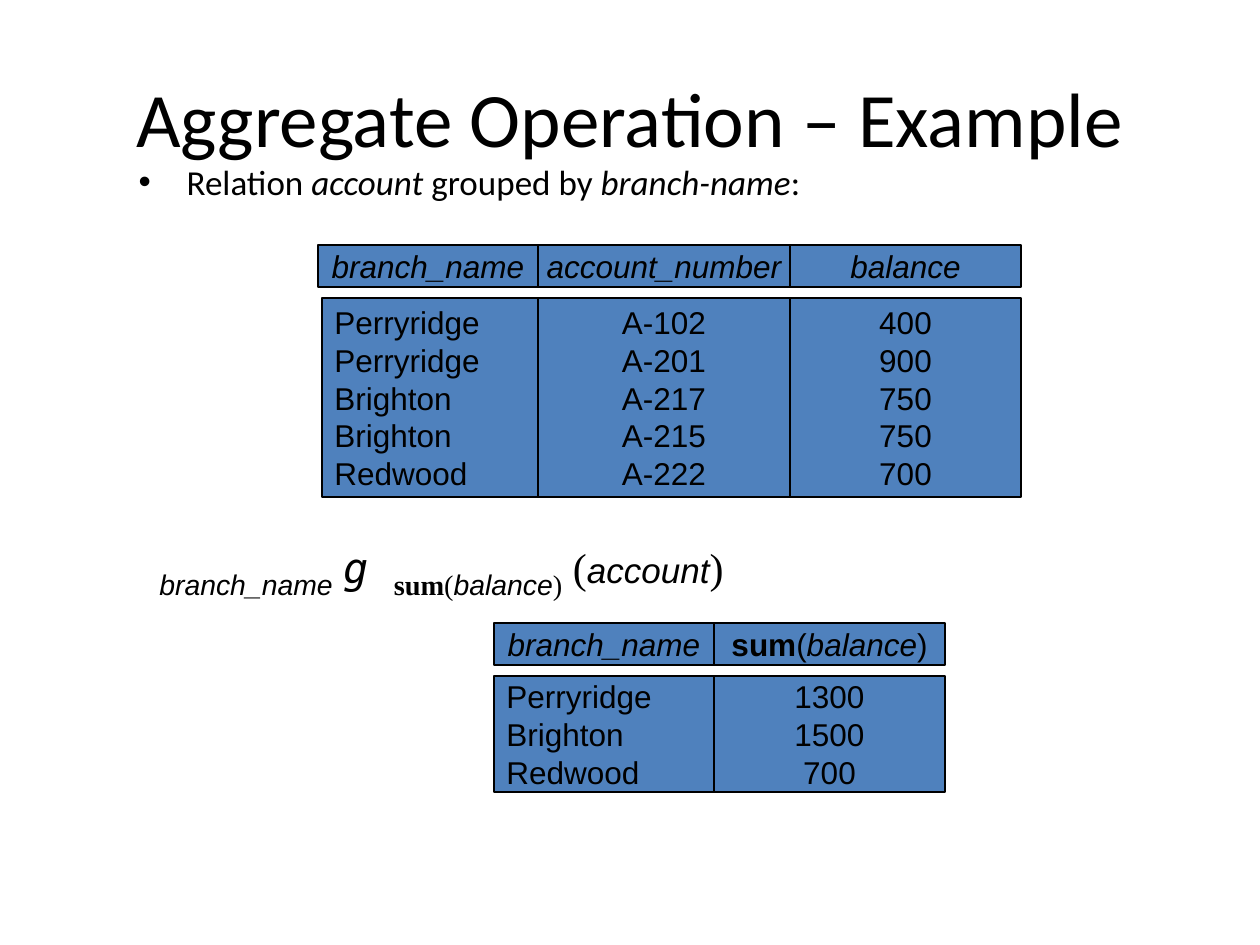
from lxml import etree
from pptx import Presentation
from pptx import util as u
from pptx.dml.color import RGBColor
from pptx.enum import shapes, text
from pptx.oxml.ns import qn

PX = u.Inches(1) / 126
COLORS = {"ink": "000000", "cell": "4F81BD"}
SANS, SERIF, MONO, BODY = "Arial", "Times New Roman", "DejaVu Sans Mono", "Calibri"
LEFT, CENTER = text.PP_ALIGN.LEFT, text.PP_ALIGN.CENTER


def px(n):
    return u.Emu(round(n * PX))


def color(name):
    return RGBColor.from_string(COLORS[name])


class SlideBuilder:
    HEAD_H, BODY_OFFSET = 42, 53

    def __init__(self, slide):
        self.s = slide

    def place(self, sp, x, y, w, h):
        sp.left, sp.top, sp.width, sp.height = px(x), px(y), px(w), px(h)

    def run(self, p, txt, size, font, style=""):
        """Style letters: b bold, i italic, s subscript."""
        r = p.add_run()
        r.text = txt
        f = r.font
        f.size, f.name = u.Pt(size), font
        f.bold, f.italic = "b" in style, "i" in style
        f.color.rgb = color("ink")
        if "s" in style:
            r._r.get_or_add_rPr().set("baseline", "-25000")

    def title(self, txt, box):
        sp = self.s.shapes.title
        self.place(sp, *box)
        tf = sp.text_frame
        tf.auto_size = text.MSO_AUTO_SIZE.NONE
        tf.vertical_anchor = text.MSO_ANCHOR.MIDDLE
        p = tf.paragraphs[0]
        p.alignment = CENTER
        self.run(p, txt, 44, BODY)

    def bullet(self, runs, box, indent):
        sp = self.s.placeholders[1]
        self.place(sp, *box)
        tf = sp.text_frame
        tf.auto_size = text.MSO_AUTO_SIZE.NONE
        p = tf.paragraphs[0]
        p.space_before = u.Pt(0)
        pPr = p._p.get_or_add_pPr()
        pPr.set("marL", str(px(indent)))
        pPr.set("indent", str(-px(indent)))
        etree.SubElement(pPr, qn("a:buChar")).set("char", "•")
        for txt, style in runs:
            self.run(p, txt, 20, BODY, style)

    def formula(self, runs, box):
        tb = self.s.shapes.add_textbox(*map(px, box))
        tb.text_frame.word_wrap = True
        for r in runs:
            self.run(tb.text_frame.paragraphs[0], *r)

    def cell(self, lines, box, align):
        """One rectangle; each line is a list of (text, style) runs."""
        sp = self.s.shapes.add_shape(shapes.MSO_SHAPE.RECTANGLE, *map(px, box))
        sp.shadow.inherit = False
        sp.fill.solid()
        sp.fill.fore_color.rgb = color("cell")
        sp.line.color.rgb = color("ink")
        sp.line.width = u.Pt(0.75)
        tf = sp.text_frame
        tf.word_wrap = align == LEFT
        tf.vertical_anchor = text.MSO_ANCHOR.MIDDLE
        for i, runs in enumerate(lines):
            p = tf.add_paragraph() if i else tf.paragraphs[0]
            p.alignment = align
            for txt, style in runs:
                self.run(p, txt, 18, SANS, style)

    def relation(self, x, y, body_h, columns, body_shift=0):
        """Header row over one tall cell per column; first column is left-aligned."""
        lefts, left = [], x
        for width, _, _ in columns:
            lefts.append(left)
            left += width
        for left, (width, head, _) in zip(lefts, columns):
            self.cell([head], (left, y, width, self.HEAD_H), CENTER)
        for i, (left, (width, _, values)) in enumerate(zip(lefts, columns)):
            shift = 0 if i else body_shift
            self.cell([[(v, "")] for v in values],
                      (left + shift, y + self.BODY_OFFSET, width, body_h),
                      CENTER if i else LEFT)


def main():
    prs = Presentation()
    prs.slide_width, prs.slide_height = u.Inches(10), u.Inches(7.5)
    b = SlideBuilder(prs.slides.add_slide(prs.slide_layouts[1]))

    # Heading and lead-in
    b.title("Aggregate Operation – Example", (63, 38, 1134, 157))
    b.bullet([("Relation ", ""), ("account", "i"), (" grouped by ", ""),
              ("branch-name", "i"), (":", "")], (126, 154, 946, 57), 48)

    # Aggregate expression
    b.formula([
        ("branch_name", 28, SANS, "is"), (" ", 24, SERIF), ("g ", 24, MONO, "i"),
        ("sum", 28, SERIF, "bs"), ("(", 28, SERIF, "s"),
        ("balance", 28, SANS, "is"), (")", 28, SERIF, "s"),
        (" (", 24, SERIF), ("account", 20, SANS, "i"), (")", 24, SERIF),
    ], (147, 528, 969, 81))

    # Account relation
    b.relation(318, 245, 199, [
        (220, [("branch_name", "i")],
         ["Perryridge", "Perryridge", "Brighton", "Brighton", "Redwood"]),
        (252, [("account_number", "i")],
         ["A-102", "A-201", "A-217", "A-215", "A-222"]),
        (231, [("balance", "i")], ["400", "900", "750", "750", "700"]),
    ], body_shift=4)

    # Grouped result
    b.relation(494, 623, 116, [
        (220, [("branch_name", "i")], ["Perryridge", "Brighton", "Redwood"]),
        (231, [("sum", "b"), ("(", ""), ("balance", "i"), (")", "")],
         ["1300", "1500", "700"]),
    ])

    prs.save("out.pptx")


if __name__ == "__main__":
    main()
